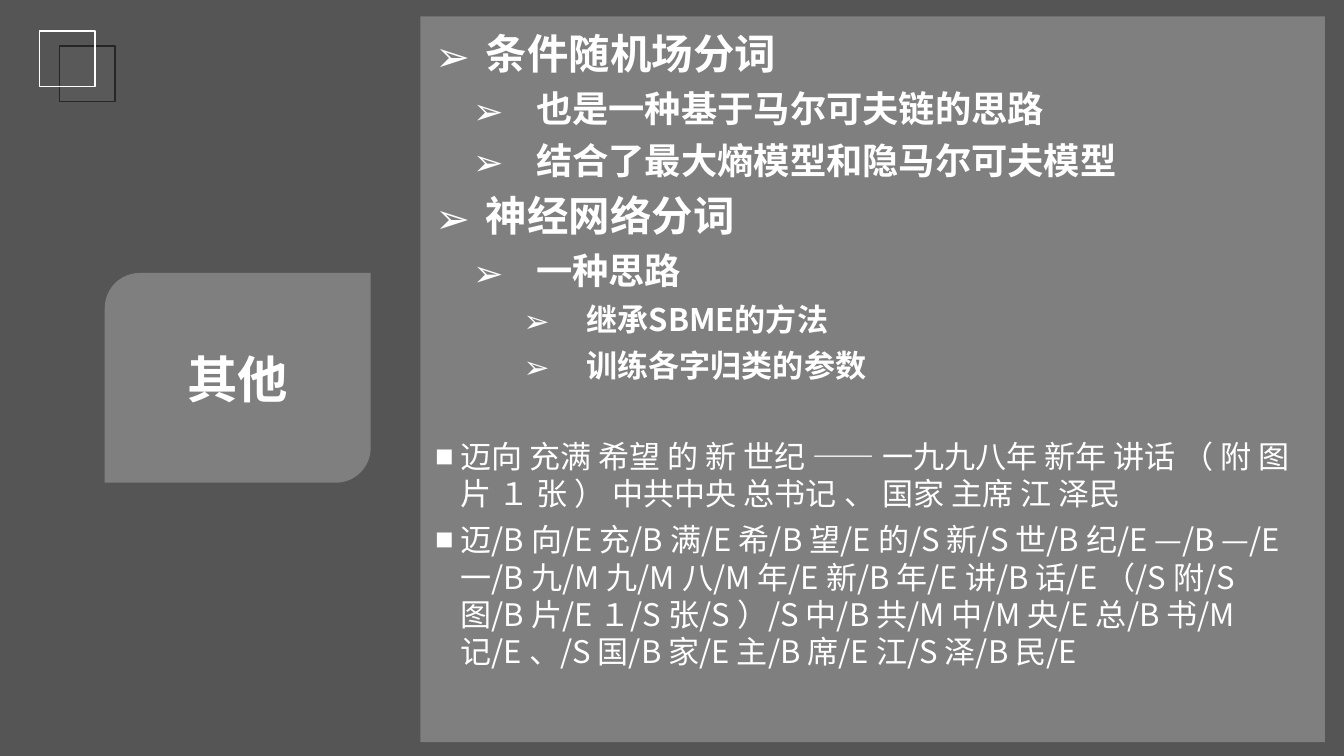
from dataclasses import dataclass

from lxml.etree import SubElement
from pptx import Presentation
from pptx.dml.color import RGBColor
from pptx.enum.shapes import MSO_SHAPE as Shape
from pptx.enum.text import MSO_ANCHOR as Anchor, PP_ALIGN as Align
from pptx.oxml.ns import qn
from pptx.util import Pt


@dataclass(frozen=True)
class Theme:
    font: str = "Noto Sans CJK SC"
    white: str = "FFFFFF"
    shade: str = "0D0D0D"
    square_fill: str = "595959"
    square_line: str = "262626"
    shade_alpha: int = 70
    panel_alpha: int = 25
    title_size: float = 36
    level_sizes: tuple = (29.6, 25.9, 22.2)
    example_size: float = 22.2
    line_spacing: float = 1.0
    gap: float = 6
    section_gap: float = 38.7


THEME = Theme()
SLIDE = (960, 540)

OUTLINE = [
    (0, "条件随机场分词"),
    (1, "也是一种基于马尔可夫链的思路"),
    (1, "结合了最大熵模型和隐马尔可夫模型"),
    (0, "神经网络分词"),
    (1, "一种思路"),
    (2, "继承SBME的方法"),
    (2, "训练各字归类的参数"),
]
EXAMPLES = [
    "迈向 充满 希望 的 新 世纪 —— 一九九八年 新年 讲话 （ 附 图片 １ 张 ） "
    "中共中央 总书记 、 国家 主席 江 泽民",
    "迈/B 向/E 充/B 满/E 希/B 望/E 的/S 新/S 世/B 纪/E —/B —/E 一/B 九/M 九/M 八/M "
    "年/E 新/B 年/E 讲/B 话/E （/S 附/S 图/B 片/E １/S 张/S ）/S 中/B 共/M 中/M 央/E "
    "总/B 书/M 记/E 、/S 国/B 家/E 主/B 席/E 江/S 泽/B 民/E",
]


def add_block(slide, kind, box, fill=None, alpha=100, line=None):
    block = slide.shapes.add_shape(kind, *map(Pt, box))
    block.shadow.inherit = False
    if fill:
        block.fill.solid()
        block.fill.fore_color.rgb = RGBColor.from_string(fill)
        if alpha < 100:
            color = block.fill._xPr.find(qn("a:solidFill"))[0]
            SubElement(color, qn("a:alpha"), val=str(alpha * 1000))
    else:
        block.fill.background()
    if line:
        block.line.color.rgb = RGBColor.from_string(line)
        block.line.width = Pt(1)
    else:
        block.line.fill.background()


def add_text_frame(slide, box):
    frame = slide.shapes.add_textbox(*map(Pt, box)).text_frame
    frame.word_wrap = True
    return frame


def style_runs(paragraph, size, bold):
    for run in paragraph.runs:
        run.font.name = THEME.font
        run.font.size = Pt(size)
        run.font.bold = bold
        run.font.color.rgb = RGBColor.from_string(THEME.white)
        SubElement(run.font._element, qn("a:ea"), typeface=THEME.font)


def add_bullet(paragraph, mark, margin, hanging, percent):
    props = paragraph._p.get_or_add_pPr()
    props.set("marL", str(Pt(margin)))
    props.set("indent", str(-Pt(hanging)))
    SubElement(props, qn("a:buSzPct"), val=str(percent * 1000))
    SubElement(props, qn("a:buFont"), typeface=THEME.font)
    SubElement(props, qn("a:buChar"), char=mark)


def draw_corner_squares(slide, box):
    left, top, side = box
    shift_x, shift_y = 14.4, 10.8
    add_block(slide, Shape.RECTANGLE, (left + shift_x, top + shift_y, side, side),
              THEME.square_fill, line=THEME.square_line)
    add_block(slide, Shape.RECTANGLE, (left, top, side, side), line=THEME.white)


def draw_topic(slide, box, topic):
    left, top, width, height = box
    add_block(slide, Shape.ROUND_2_DIAG_RECTANGLE, box, THEME.white, THEME.panel_alpha)
    overhang, label_height = 13.5, 51
    frame = add_text_frame(slide, (left - overhang, top + (height - label_height) / 2,
                                   width + 2 * overhang, label_height))
    frame.vertical_anchor = Anchor.MIDDLE
    frame.text = topic
    frame.paragraphs[0].alignment = Align.CENTER
    style_runs(frame.paragraphs[0], THEME.title_size, True)


def draw_content(slide, box):
    left, top, width, height = box
    add_block(slide, Shape.RECTANGLE, box, THEME.white, THEME.panel_alpha)
    frame = add_text_frame(slide, (left + 3.6, top + 5, width - 18, height - 6.5))
    frame.text = "\n".join([text for _, text in OUTLINE] + EXAMPLES)
    for paragraph in frame.paragraphs:
        paragraph.line_spacing = THEME.line_spacing
        paragraph.space_before = Pt(THEME.gap)
    frame.paragraphs[0].space_before = Pt(0)

    # Outline levels
    for paragraph, (level, _) in zip(frame.paragraphs, OUTLINE):
        margin = 36 * (level + 1)
        paragraph.level = level
        add_bullet(paragraph, "➢", margin, min(margin, 45), 100)
        style_runs(paragraph, THEME.level_sizes[level], True)

    # Segmented and tagged examples
    examples = frame.paragraphs[len(OUTLINE):]
    examples[0].space_before = Pt(THEME.section_gap)
    for paragraph in examples:
        add_bullet(paragraph, "■", 18, 18, 60)
        style_runs(paragraph, THEME.example_size, False)


def main():
    deck = Presentation()
    deck.slide_width, deck.slide_height = map(Pt, SLIDE)
    slide = deck.slides.add_slide(deck.slide_layouts[6])

    # Backdrop
    add_block(slide, Shape.RECTANGLE, (0, 0, *SLIDE), THEME.shade, THEME.shade_alpha)
    draw_corner_squares(slide, (28.2, 22.2, 39.6))

    # Topic on the left, content on the right
    draw_topic(slide, (74.8, 195, 190, 149.8), "其他")
    draw_content(slide, (300.3, 11.7, 646, 518.5))
    deck.save("out.pptx")


if __name__ == "__main__":
    main()
